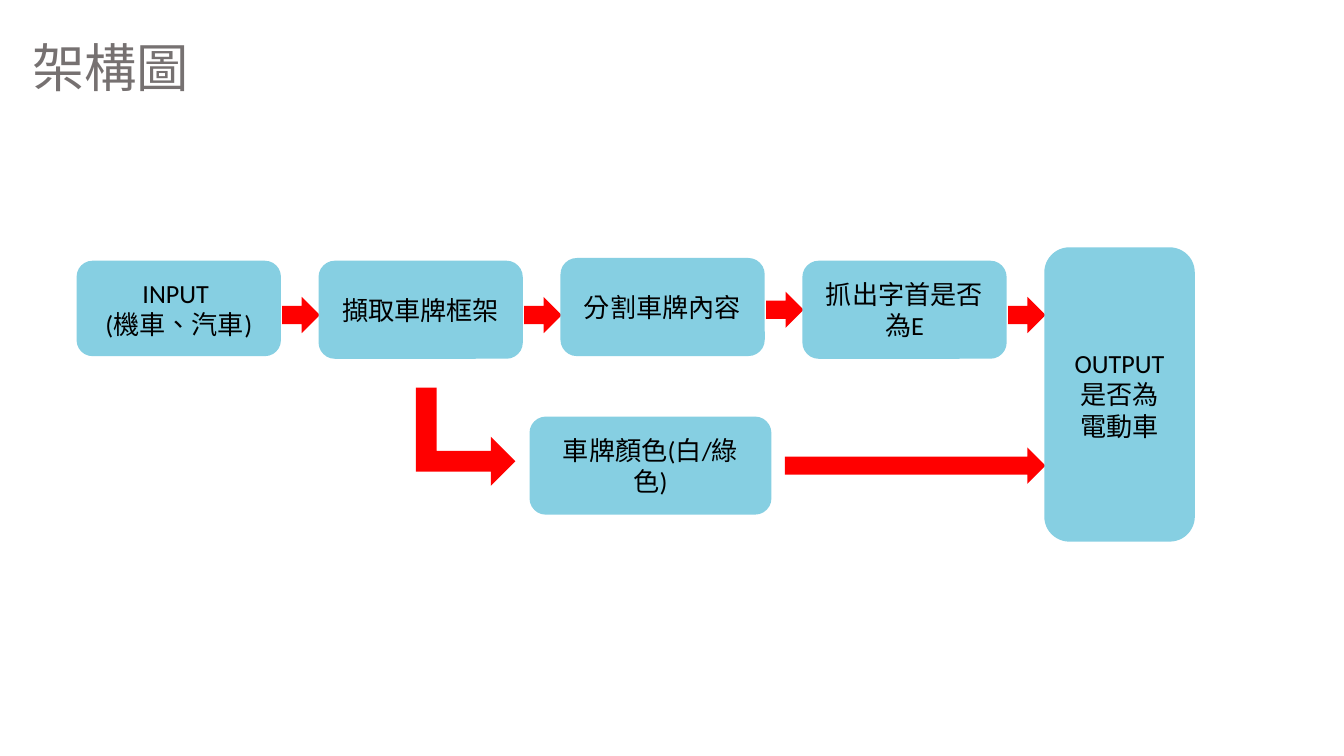
from pptx import Presentation
from pptx.dml.color import RGBColor
from pptx.enum.lang import MSO_LANGUAGE_ID as Language
from pptx.enum.shapes import MSO_SHAPE as Shape
from pptx.enum.text import MSO_ANCHOR as Anchor, PP_ALIGN as Align
from pptx.util import Inches, Pt

COLORS = {"title": "767171", "step": "86CFE2", "arrow": "FF0000", "text": "000000"}
WIDTH = 10
HEIGHT = WIDTH * 9 / 16

# Flow grid, measured from the left and top of the diagram
STEP_W, STEP_H, PITCH = 1.52, 0.73, 1.8
ARROW_W, ARROW_H = 0.28, 0.27
STEPS = [  # lines, top, height, top of the arrow that follows
    (["INPUT ", "(機車、汽車)"], 0.1, 0.71, 0.37),
    (["擷取車牌框架"], 0.1, STEP_H, 0.37),
    (["分割車牌內容"], 0.08, STEP_H, 0.33),
    (["抓出字首是否為E"], 0.1, STEP_H, 0.37),
]


def style_para(para, size, font, color):
    para.font.size = Pt(size)
    para.font.name = font
    para.font.color.rgb = RGBColor.from_string(COLORS[color])
    for span in para.runs:
        span.font.language_id = Language.TRADITIONAL_CHINESE


def add_block(page, kind, box, color):
    block = page.shapes.add_shape(kind, *map(Inches, box))
    block.shadow.inherit = False
    block.fill.solid()
    block.fill.fore_color.rgb = RGBColor.from_string(COLORS[color])
    block.line.fill.background()
    return block


def add_step(page, box, lines):
    frame = add_block(page, Shape.ROUNDED_RECTANGLE, box, "step").text_frame
    frame.word_wrap = True
    frame.vertical_anchor = Anchor.MIDDLE
    frame.text = "\n".join(lines)
    for para in frame.paragraphs:
        para.alignment = Align.CENTER
        style_para(para, 14, "Calibri", "text")


def add_arrow(page, left, top, width=ARROW_W):
    add_block(page, Shape.RIGHT_ARROW, (left, top, width, ARROW_H), "arrow")


def add_title(page, box, text):
    frame = page.shapes.add_textbox(*map(Inches, box)).text_frame
    frame.word_wrap = True
    frame.text = text
    style_para(frame.paragraphs[0], 28, "Noto Sans CJK SC", "title")


def add_main_row(page, left, top):
    for column, (lines, step_top, height, arrow_top) in enumerate(STEPS):
        step_left = left + column * PITCH
        add_step(page, (step_left, top + step_top, STEP_W, height), lines)
        add_arrow(page, step_left + STEP_W + 0.01, top + arrow_top)


def add_color_branch(page, left, top):
    bend = add_block(page, Shape.BENT_UP_ARROW, (left, top, 0.73, 0.74), "arrow")
    bend.rotation = 90
    bend.adjustments[0] = 0.21
    add_step(page, (left + 0.84, top + 0.22, 1.8, STEP_H), ["車牌顏色(白/綠色)"])
    add_arrow(page, left + 2.74, top + 0.45, 1.94)


def add_flow(page, left, top):
    add_main_row(page, left, top)
    add_color_branch(page, left + 2.53, top + 1.04)
    # Result block where both branches meet
    output_box = (left + len(STEPS) * PITCH, top, 1.12, 2.19)
    add_step(page, output_box, ["OUTPUT", "是否為", "電動車"])


deck = Presentation()
deck.slide_width, deck.slide_height = Inches(WIDTH), Inches(HEIGHT)
page = deck.slides.add_slide(deck.slide_layouts[6])
add_title(page, (0.14, 0.21, 1.42, 0.57), "架構圖")
add_flow(page, 0.57, 1.84)
deck.save("out.pptx")
